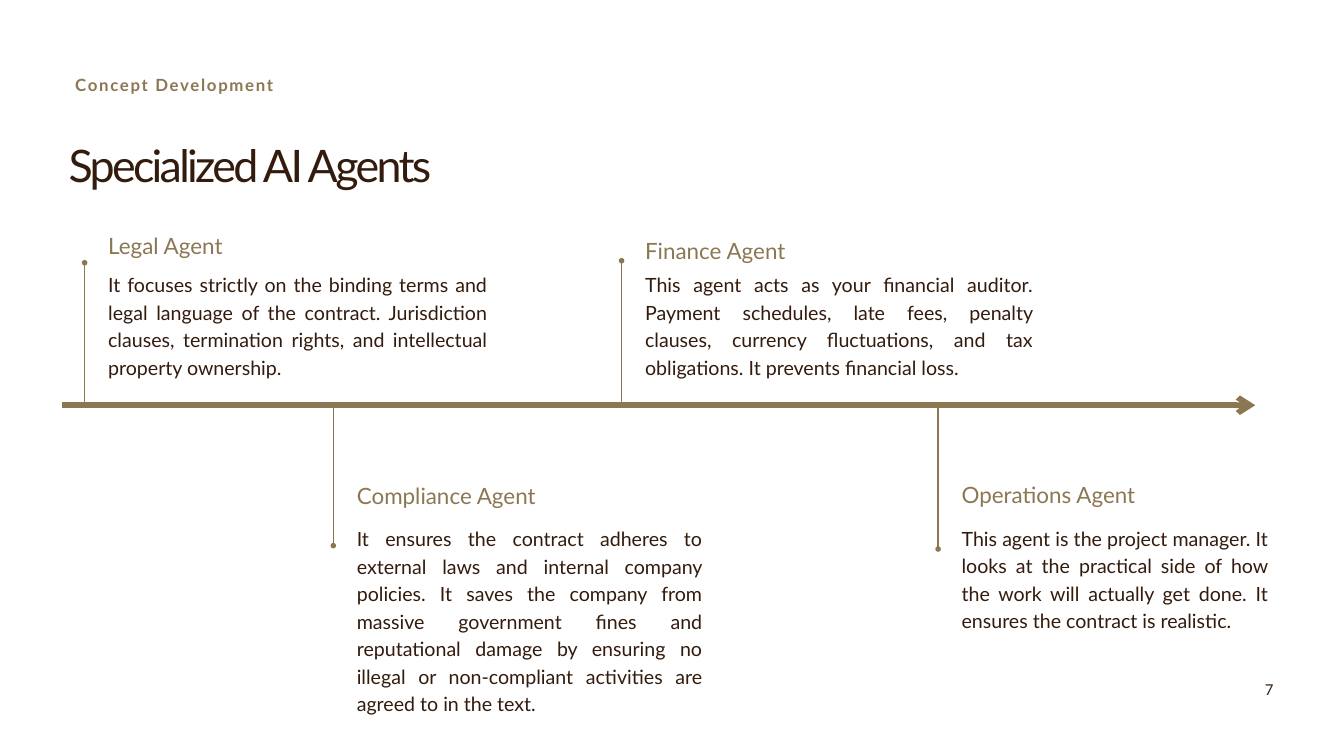
"""Build the slide that places four specialized AI agents along a timeline arrow."""
from dataclasses import dataclass
from typing import NamedTuple, Optional

from lxml import etree
from pptx import Presentation
from pptx import util as u
from pptx.dml.color import RGBColor
from pptx.enum import shapes, text
from pptx.oxml import ns

PX = u.Inches(1) // 100
AXIS_Y = 603
TEXT_OFFSET = 35


class Style(NamedTuple):
    size: float
    leading: float
    color: str
    align: text.PP_ALIGN = text.PP_ALIGN.LEFT
    bold: bool = False
    tracking: int = 0


@dataclass(frozen=True)
class Theme:
    font: str = "Lato"
    accent: str = "8C7753"
    ink: str = "331B0D"
    axis_width: float = 6
    stem_width: float = 1.5

    @property
    def title(self) -> Style:
        return Style(48, 48, self.ink, tracking=-290)

    @property
    def section(self) -> Style:
        return Style(18, 18, self.accent, text.PP_ALIGN.JUSTIFY, True, 180)

    @property
    def heading(self) -> Style:
        return Style(24, 33.6, self.accent)

    @property
    def body(self) -> Style:
        return Style(21, 29.4, self.ink, text.PP_ALIGN.JUSTIFY)

    @property
    def number(self) -> Style:
        return Style(16, 22.4, self.ink, text.PP_ALIGN.RIGHT)


class Area(NamedTuple):
    left: int
    top: int
    width: int
    height: int


@dataclass(frozen=True)
class Agent:
    name: str
    duty: str
    stem_x: int
    dot_y: int
    axis_y: int
    name_y: int
    duty_y: int
    duty_width: int
    duty_height: int


THEME = Theme()

AGENTS = (
    Agent("Legal Agent",
          "It focuses strictly on the binding terms and legal language of the contract. "
          "Jurisdiction clauses, termination rights, and intellectual property ownership.",
          126, 391, 603, 339, 401, 564, 162),
    Agent("Compliance Agent",
          "It ensures the contract adheres to external laws and internal company policies. "
          "It saves the company from massive government fines and reputational damage by "
          "ensuring no illegal or non-compliant activities are agreed to in the text.",
          496, 812, 600, 711, 779, 514, 284),
    Agent("Finance Agent",
          "This agent acts as your financial auditor. Payment schedules, late fees, penalty "
          "clauses, currency fluctuations, and tax obligations. It prevents financial loss.",
          925, 388, 600, 346, 401, 577, 162),
    Agent("Operations Agent",
          "This agent is the project manager. It looks at the practical side of how the work "
          "will actually get done. It ensures the contract is realistic.",
          1396, 817, 605, 709, 778, 456, 202),
)


def write(box, area: Area, words: str, style: Style) -> None:
    """Place a text shape and fill it with one styled run."""
    box.left, box.top, box.width, box.height = (value * PX for value in area)
    frame = box.text_frame
    frame.margin_left = frame.margin_top = frame.margin_right = frame.margin_bottom = 0
    frame.word_wrap = True
    frame.auto_size = text.MSO_AUTO_SIZE.NONE
    frame.vertical_anchor = text.MSO_ANCHOR.TOP
    para = frame.paragraphs[0]
    para.alignment = style.align
    para.line_spacing = u.Pt(style.leading)
    span = para.add_run()
    span.text = words
    span.font.name = THEME.font
    span.font.size = u.Pt(style.size)
    span.font.bold = style.bold
    span.font.color.rgb = RGBColor.from_string(style.color)
    if style.tracking:
        span._r.get_or_add_rPr().set("spc", str(style.tracking))


def add_text(page, area: Area, words: str, style: Style) -> None:
    """Add a text box with one styled run."""
    write(page.shapes.add_textbox(0, 0, 0, 0), area, words, style)


def add_line(page, start: tuple[int, int], end: tuple[int, int], width: float,
             head: Optional[str] = None, tail: Optional[str] = None) -> None:
    """Draw an accent line with optional end markers and no shadow."""
    line = page.shapes.add_connector(
        shapes.MSO_CONNECTOR.STRAIGHT, *(value * PX for value in start + end))
    line.line.color.rgb = RGBColor.from_string(THEME.accent)
    line.line.width = u.Pt(width)
    outline = line.line._get_or_add_ln()
    for tag, marker in (("a:headEnd", head), ("a:tailEnd", tail)):
        if marker:
            etree.SubElement(outline, ns.qn(tag), type=marker)
    etree.SubElement(line._element.spPr, ns.qn("a:effectLst"))


def add_agent(page, agent: Agent) -> None:
    """Draw an agent's dotted stem, name and duty."""
    left = agent.stem_x + TEXT_OFFSET
    add_line(page, (agent.stem_x, agent.dot_y), (agent.stem_x, agent.axis_y),
             THEME.stem_width, head="oval")
    add_text(page, Area(left, agent.name_y, 325, 44), agent.name, THEME.heading)
    add_text(page, Area(left, agent.duty_y, agent.duty_width, agent.duty_height),
             agent.duty, THEME.body)


def main() -> None:
    """Create and save the deck."""
    deck = Presentation()
    deck.slide_width, deck.slide_height = 2000 * PX, 1125 * PX
    page = deck.slides.add_slide(deck.slide_layouts.get_by_name("Title Only"))
    write(page.shapes.title, Area(102, 218, 640, 70), "Specialized AI Agents", THEME.title)
    add_text(page, Area(112, 116, 803, 27), "Concept Development", THEME.section)
    add_line(page, (93, AXIS_Y), (1868, AXIS_Y), THEME.axis_width, tail="arrow")
    for agent in AGENTS:
        add_agent(page, agent)
    add_text(page, Area(1396, 1008, 499, 30), "7", THEME.number)
    deck.save("out.pptx")


if __name__ == "__main__":
    main()
